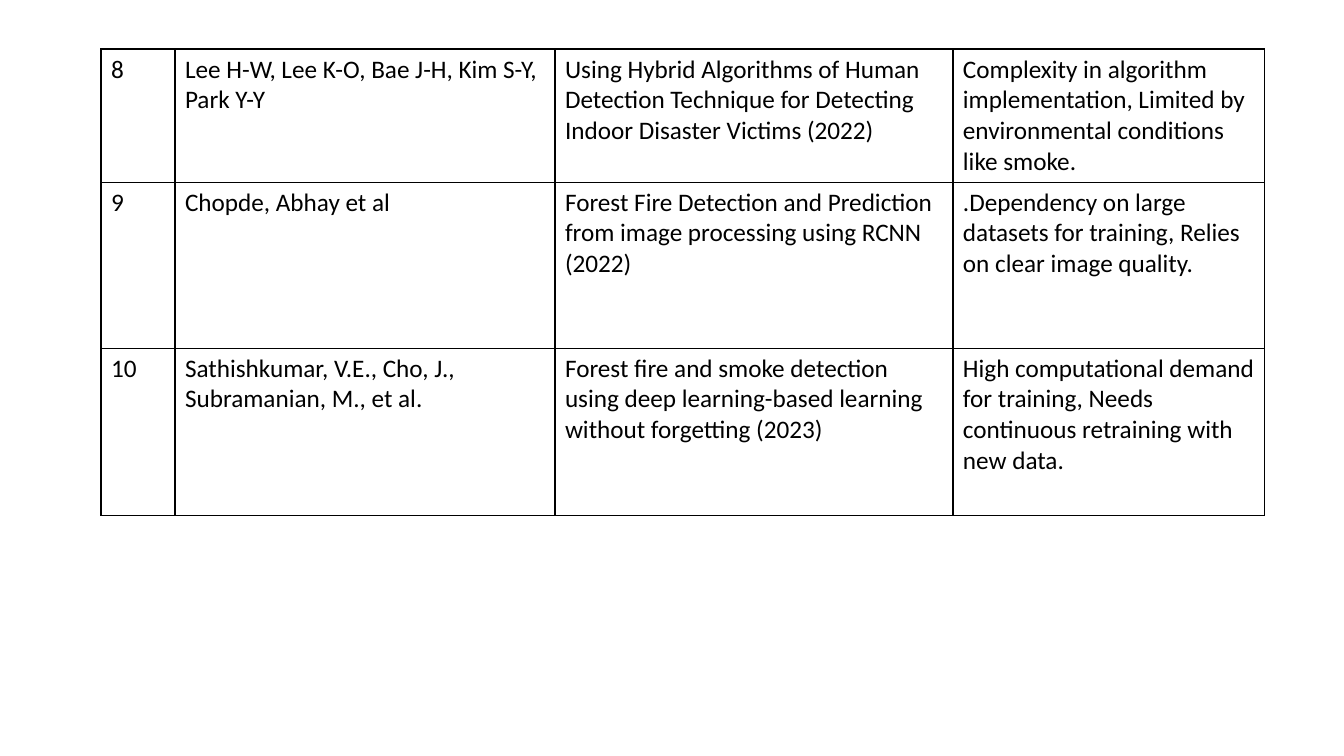
import pptx
import pptx.dml.color
import pptx.oxml
import pptx.oxml.ns
import pptx.util

PAPERS = [
    ("8", "Lee H-W, Lee K-O, Bae J-H, Kim S-Y, Park Y-Y",
     "Using Hybrid Algorithms of Human Detection Technique for Detecting Indoor Disaster Victims (2022)",
     "Complexity in algorithm implementation, Limited by environmental conditions like smoke."),
    ("9", "Chopde, Abhay et al",
     "Forest Fire Detection and Prediction from image processing using RCNN (2022)",
     ".Dependency on large datasets for training, Relies on clear image quality."),
    ("10", "Sathishkumar, V.E., Cho, J., Subramanian, M., et al.",
     "Forest fire and smoke detection using deep learning-based learning without forgetting (2023)",
     "High computational demand for training, Needs continuous retraining with new data."),
]
COLUMN_WIDTHS = [74, 380, 398, 312]
ROW_HEIGHTS = [133, 166, 167]


def px(n):
    return pptx.util.Emu(round(n * 12192000 / 1344))


def color(value):
    return pptx.dml.color.RGBColor.from_string(value)


def add_borders(cell, value, width):
    tcPr = cell._tc.get_or_add_tcPr()
    for i, side in enumerate(("lnL", "lnR", "lnT", "lnB")):
        tcPr.insert(i, pptx.oxml.parse_xml(
            f'<a:{side} {pptx.oxml.ns.nsdecls("a")} w="{pptx.util.Pt(width)}">'
            f'<a:solidFill><a:srgbClr val="{value}"/></a:solidFill></a:{side}>'))


def format_cell(cell, text):
    cell.fill.solid()
    cell.fill.fore_color.rgb = color("FFFFFF")
    add_borders(cell, "000000", 1)
    cell.text_frame.text = text
    font = cell.text_frame.paragraphs[0].runs[0].font
    font.name = "Calibri"
    font.size = pptx.util.Pt(18)
    font.bold = False
    font.color.rgb = color("000000")


def add_papers_table(s, x, y, w, h):
    table = s.shapes.add_table(len(PAPERS), len(COLUMN_WIDTHS), px(x), px(y), px(w), px(h)).table
    table.first_row = False
    table.horz_banding = False
    for column, width in zip(table.columns, COLUMN_WIDTHS):
        column.width = px(w * width / sum(COLUMN_WIDTHS))
    for row, height, paper in zip(table.rows, ROW_HEIGHTS, PAPERS):
        row.height = px(h * height / sum(ROW_HEIGHTS))
        for cell, text in zip(row.cells, paper):
            format_cell(cell, text)


def main():
    prs = pptx.Presentation()
    prs.slide_width = px(1344)
    prs.slide_height = px(756)
    s = prs.slides.add_slide(prs.slide_layouts[6])
    add_papers_table(s, 101, 49, 1164, 466)
    prs.save("out.pptx")


if __name__ == "__main__":
    main()
